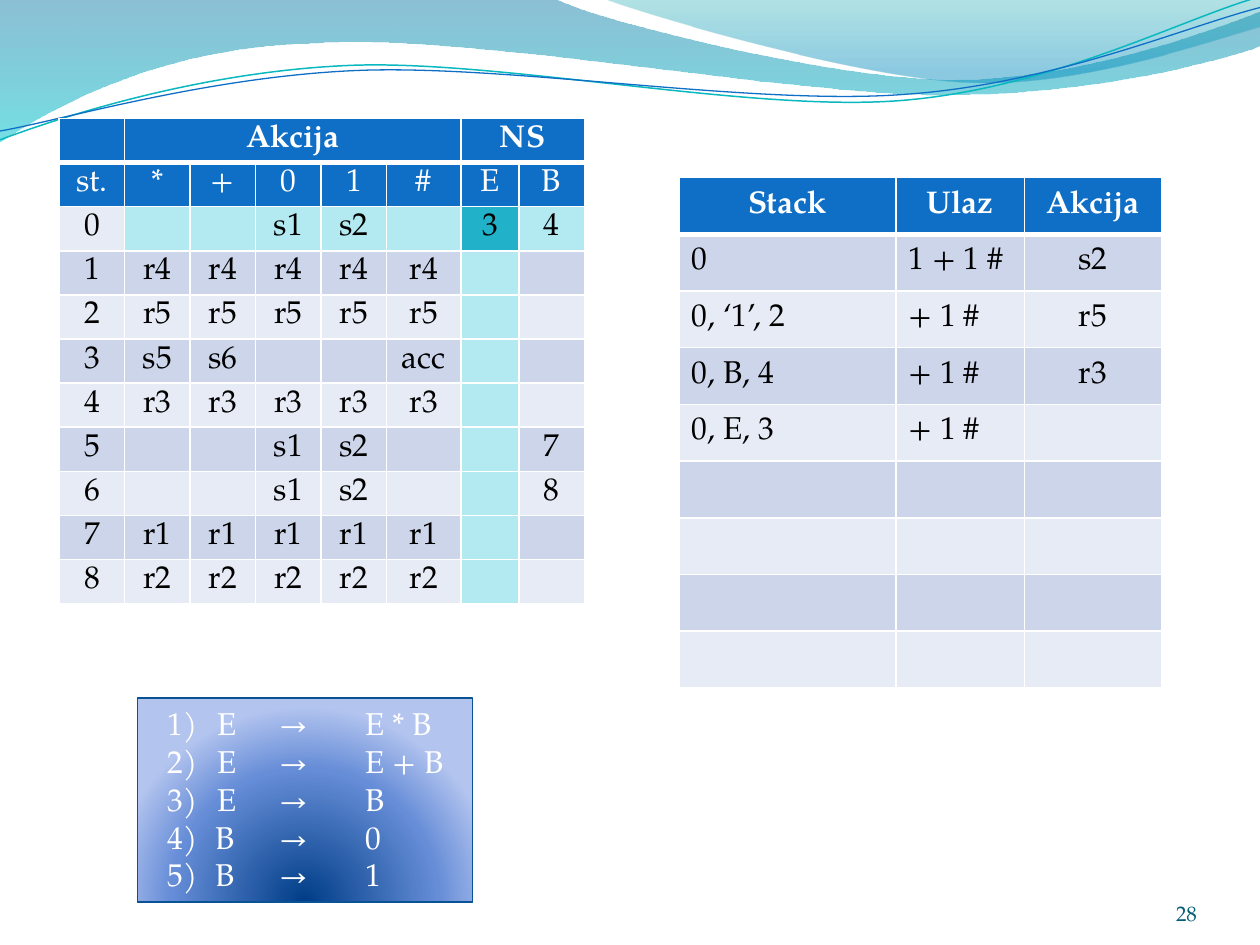
from lxml import etree
from pptx import Presentation, util as u
from pptx.dml.color import RGBColor
from pptx.enum import shapes, text
from pptx.oxml import parse_xml
from pptx.oxml.ns import qn

NS = 'xmlns:a="http://schemas.openxmlformats.org/drawingml/2006/main"'
FONT = "TeX Gyre Pagella"
HUES = {
    "white": "FFFFFF", "black": "000000", "blue": "0F6FC6", "teal": "0AB8BF",
    "dark": "CCD5EA", "light": "E7EBF5", "tint": "B3EAF2", "mark": "21B2C9",
    "edge": "095295", "page": "045D75",
    "sea": "0074A1", "aqua": "00C6CF", "mint": "00A1A9", "sky": "008BBF",
    "navy": "003D87", "mid": "668DD7", "pale": "B3C4EF",
}
LEFT, MID, RIGHT = text.PP_ALIGN.LEFT, text.PP_ALIGN.CENTER, text.PP_ALIGN.RIGHT
DOWN = '<a:lin ang="5400000" scaled="0"/>'
GLOW = '<a:path path="circle"><a:fillToRect l="50000" t="130000" r="50000" b="-30000"/></a:path>'


class Deck:
    """Style and current slide; lengths are cells of a 10 by 7.5 grid."""

    def __init__(self):
        self.file = Presentation()
        self.file.slide_width, self.file.slide_height = u.Inches(10), u.Inches(7.5)
        self.cell = self.file.slide_width // 10
        self.slide = self.file.slides.add_slide(self.file.slide_layouts[6])

    def size(self, *vals):
        return [u.Emu(round(v * self.cell)) for v in vals]

    def hue(self, name):
        return RGBColor.from_string(HUES[name])

    def run(self, para, words, hue, bold=False, size=18):
        run = para.add_run()
        run.text = words
        font = run.font
        font.name, font.size, font.bold = FONT, u.Pt(size), bold
        font.color.rgb = self.hue(hue)

    def blend(self, shape, stops, way):
        marks = "".join(
            f'<a:gs pos="{pos * 1000}"><a:srgbClr val="{HUES[name]}">'
            f'<a:alpha val="{alpha * 1000}"/></a:srgbClr></a:gs>'
            for pos, name, alpha in stops)
        props = shape._element.spPr
        grad = parse_xml(f'<a:gradFill {NS} rotWithShape="1"><a:gsLst>{marks}</a:gsLst>{way}</a:gradFill>')
        geom = [k for k in props if k.tag in (qn("a:custGeom"), qn("a:prstGeom"))][0]
        geom.addnext(grad)

    def wave(self, start, *steps, stops=None, line=None, width=0.75):
        """A step of one point is a corner; one of three points is a curve."""
        form = self.slide.shapes.build_freeform(*self.size(*start), scale=1.0)
        form.add_line_segments([self.size(*p) for step in steps for p in step], close=bool(stops))
        shape = form.convert_to_shape()
        shape.shadow.inherit = False
        legs = shape._element.iter(qn("a:lnTo"))
        legs = iter(list(legs))
        for step in steps:
            parts = [next(legs) for _ in step]
            if len(parts) == 3:
                curve = etree.Element(qn("a:cubicBezTo"))
                parts[0].addprevious(curve)
                for leg in parts:
                    curve.append(leg[0])
                    leg.getparent().remove(leg)
        if stops:
            self.blend(shape, stops, DOWN)
            shape.line.fill.background()
        else:
            shape.fill.background()
            shape.line.color.rgb = self.hue(line)
            shape.line.width = u.Pt(width)

    def rim(self, cell, base):
        props = cell._tc.get_or_add_tcPr()
        for i, side in enumerate("LRTB"):
            wide = 38100 if base and side == "B" else 12700
            props.insert(i, parse_xml(
                f'<a:ln{side} {NS} w="{wide}"><a:solidFill><a:srgbClr val="{HUES["white"]}"/>'
                f'</a:solidFill></a:ln{side}>'))

    def table(self, x, y, cols, high, rows, look, spans=(), pad=0.05):
        box = self.size(x, y, sum(cols), high * len(rows))
        grid = self.slide.shapes.add_table(len(rows), len(cols), *box).table
        for col, wide in zip(grid.columns, cols):
            col.width = self.size(wide)[0]
        for r, row in enumerate(rows):
            grid.rows[r].height = self.size(high)[0]
            for c, words in enumerate(row):
                fill, ink, align = look(r, c)
                cell = grid.cell(r, c)
                cell.vertical_anchor = text.MSO_ANCHOR.MIDDLE
                cell.margin_top = cell.margin_bottom = self.size(pad)[0]
                cell.fill.solid()
                cell.fill.fore_color.rgb = self.hue(fill)
                self.rim(cell, r == 0)
                para = cell.text_frame.paragraphs[0]
                para.alignment = align
                if words:
                    self.run(para, words, ink, r == 0)
        for first, last in spans:
            grid.cell(0, first).merge(grid.cell(0, last))

    def rules(self, box, paras, tabs):
        shape = self.slide.shapes.add_shape(shapes.MSO_SHAPE.RECTANGLE, *self.size(*box))
        shape.shadow.inherit = False
        self.blend(shape, [(0, "navy", 100), (68, "mid", 100), (100, "pale", 100)], GLOW)
        shape.line.color.rgb = self.hue("edge")
        shape.line.width = u.Pt(0.75)
        frame = shape.text_frame
        frame.word_wrap = True
        frame.vertical_anchor = text.MSO_ANCHOR.TOP
        frame.margin_left, frame.margin_top = self.size(0.24, 0.05)
        for i, (start, lines) in enumerate(paras):
            para = frame.add_paragraph() if i else frame.paragraphs[0]
            para.alignment = LEFT
            props = para._p.get_or_add_pPr()
            if start:
                dent = self.size(0.38)[0]
                props.set("marL", str(dent))
                props.set("indent", str(-dent))
                etree.SubElement(props, qn("a:buFont"), typeface="+mj-lt")
                etree.SubElement(props, qn("a:buAutoNum"), type="arabicParenR", startAt=str(start))
            stops = etree.SubElement(props, qn("a:tabLst"))
            for tab in self.size(*tabs):
                etree.SubElement(stops, qn("a:tab"), pos=str(tab), algn="l")
            for j, line in enumerate(lines):
                if j:
                    para.add_line_break()
                self.run(para, line, "white")

    def label(self, box, words, hue, size):
        frame = self.slide.shapes.add_textbox(*self.size(*box)).text_frame
        frame.word_wrap = True
        frame.vertical_anchor = text.MSO_ANCHOR.BOTTOM
        frame.margin_left = frame.margin_right = frame.margin_top = frame.margin_bottom = 0
        frame.paragraphs[0].alignment = RIGHT
        self.run(frame.paragraphs[0], words, hue, size=size)


def band(r):
    return "dark" if r % 2 else "light"


def parser(r, c):
    if r < 2:
        return "blue", "white", MID
    if (r, c) == (2, 6):
        return "mark", "black", MID
    hit = c == 6 or (r == 2 and c)
    return "tint" if hit else band(r), "black", MID


def moves(r, c):
    if r == 0:
        return "blue", "white", MID
    return band(r), "black", MID if c == 2 else LEFT


def main():
    deck = Deck()

    # Waves along the top
    deck.wave((0, 0), [(4.4, -0.01)], [(4.76, 0.17), (6.64, 0.63), (7.58, 0.63)],
              [(8.53, 0.63), (9.58, 0.26), (10, 0.09)], [(10.01, 0.36)],
              [(9.83, 0.44), (8.7, 0.76), (7.46, 0.75)],
              [(6.22, 0.75), (3.82, 0.28), (2.57, 0.34)],
              [(1.29, 0.36), (0.46, 0.83), (-0.01, 1.13)], [(0, 0)],
              stops=[(0, "sea", 45), (100, "aqua", 55)])
    deck.wave((4.79, -0.01), [(5.09, 0.11), (6.82, 0.62), (7.69, 0.65)],
              [(8.56, 0.69), (9.61, 0.32), (10, 0.21)], [(10, 0)], [(4.79, -0.01)],
              stops=[(0, "mint", 30), (80, "sky", 45)])
    deck.wave((0, 1.11), [(0.48, 0.93), (1.58, 0.57), (2.77, 0.52)],
              [(3.95, 0.47), (5.93, 0.89), (7.13, 0.8)],
              [(8.33, 0.71), (9.38, 0.15), (9.98, -0.02)], line="teal", width=0.85)
    deck.wave((0, 1.04), [(0.47, 0.96), (1.64, 0.61), (2.83, 0.56)],
              [(4.03, 0.51), (5.97, 0.84), (7.17, 0.75)],
              [(8.36, 0.67), (9.41, 0.21), (10, 0.06)], line="blue")

    # Parsing table: a dot is an empty cell
    lines = [". Akcija . . . . NS .", "st. * + 0 1 # E B", "0 . . s1 s2 . 3 4",
             "1 r4 r4 r4 r4 r4 . .", "2 r5 r5 r5 r5 r5 . .", "3 s5 s6 . . acc . .",
             "4 r3 r3 r3 r3 r3 . .", "5 . . s1 s2 . . 7", "6 . . s1 s2 . . 8",
             "7 r1 r1 r1 r1 r1 . .", "8 r2 r2 r2 r2 r2 . ."]
    rows = [["" if w == "." else w for w in line.split()] for line in lines]
    deck.table(0.47, 0.94, [0.52] * 5 + [0.59, 0.46, 0.52], 0.35, rows, parser,
               spans=[(1, 5), (6, 7)], pad=0)

    # Page number
    deck.label((8.67, 6.95, 0.83, 0.4), "28", "page", 12)

    # Grammar
    deck.rules((1.09, 5.54, 2.66, 1.62),
               [(0, ["1) \tE\t→\tE * B", "2) \tE\t→ \tE + B", "3) \tE\t→ \tB"]),
                (4, ["B\t→\t0"]), (4, ["B\t→\t1"])], (0.4, 0.89, 1.57))

    # Trace of the stack
    rows = [["Stack", "Ulaz", "Akcija"], ["0", "1 + 1 #", "s2"], ["0, ‘1’, 2", "+ 1 #", "r5"],
            ["0, B, 4", "+ 1 #", "r3"], ["0, E, 3", "+ 1 #", ""]] + [[""] * 3] * 4
    deck.table(5.39, 1.41, [1.72, 1.02, 1.09], 0.45, rows, moves)

    deck.file.save("out.pptx")


if __name__ == "__main__":
    main()
